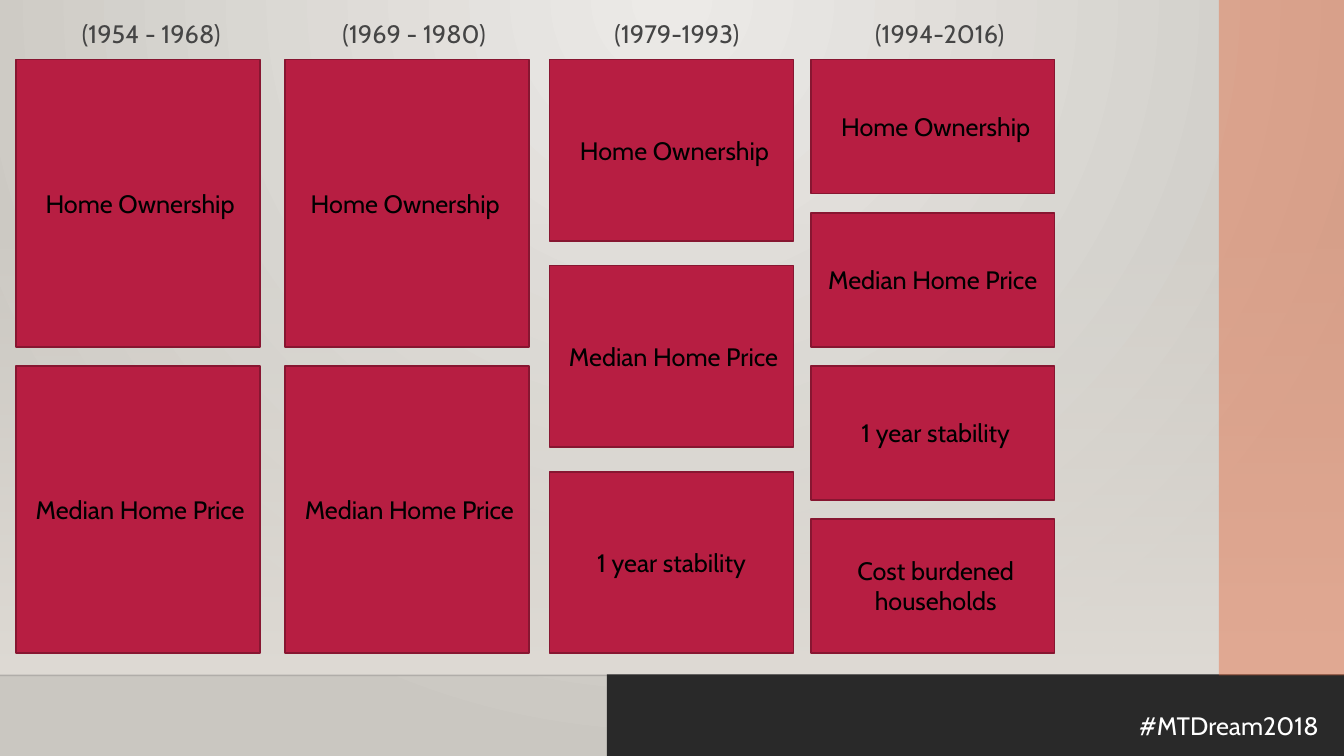
from lxml import etree
from pptx import Presentation, util as u
from pptx.dml.color import RGBColor
from pptx.enum import shapes, text
from pptx.oxml.ns import nsdecls, qn
from pptx.oxml import parse_xml

THEME = {
    "font": "Cabin", "size": u.Pt(18),
    "wall_light": "ECEAE7", "wall_dark": "CAC7C1", "floor": "DFDBD5",
    "horizon": "000001", "band": "292929", "accent": "E6663A",
    "box": "B71E42", "box_line": "871631",
    "heading": "454545", "label": "000000", "hashtag": "FFFFFF",
}
WIDTH, HEIGHT = 13.33, 7.5
HORIZON = 6.7
GRID_TOP, GRID_BOTTOM = 0.59, 6.48
BOX_WIDTH = 2.42
HEADING_LEFT, HEADING_STEP, HEADING_WIDTH = 0.42, 2.607, 2.16
LINE_HEIGHT, EXTRA_LINE = 0.4, 0.31

# Each era: heading, left edge, box height, then (label, sideways nudge, lines)
ERAS = [
    ("(1954 - 1968)", 0.16, 2.85,
     [("Home Ownership", 0.02, 1), ("Median Home Price", 0.02, 1)]),
    ("(1969 - 1980)", 2.83, 2.85,
     [("Home Ownership", -0.02, 1), ("Median Home Price", 0.02, 1)]),
    ("(1979-1993)", 5.45, 1.8,
     [("Home Ownership", 0.03, 1), ("Median Home Price", 0.02, 1),
      ("1 year stability", 0, 1)]),
    ("(1994-2016)", 8.04, 1.33,
     [("Home Ownership", 0.03, 1), ("Median Home Price", 0, 1),
      ("1 year stability", 0.03, 1), ("Cost burdened households", 0.03, 2)]),
]

presentation = Presentation()
presentation.slide_width, presentation.slide_height = u.Inches(WIDTH), u.Inches(HEIGHT)
slide = presentation.slides.add_slide(presentation.slide_layouts[6])


def add_rectangle(left, top, width, height, color):
    shape = slide.shapes.add_shape(
        shapes.MSO_SHAPE.RECTANGLE, *map(u.Inches, (left, top, width, height)))
    shape.shadow.inherit = False
    shape.fill.solid()
    shape.fill.fore_color.rgb = RGBColor.from_string(THEME[color])
    shape.line.fill.background()
    return shape


def add_text(words, left, top, width, height, color, align):
    box = slide.shapes.add_textbox(*map(u.Inches, (left, top, width, height)))
    frame = box.text_frame
    frame.word_wrap = True
    frame.auto_size = text.MSO_AUTO_SIZE.SHAPE_TO_FIT_TEXT
    frame.text = words
    paragraph = frame.paragraphs[0]
    paragraph.alignment = align
    font = paragraph.runs[0].font
    font.name, font.size = THEME["font"], THEME["size"]
    font.color.rgb = RGBColor.from_string(THEME[color])


# Background: light glow at the top
slide.background.fill.solid()
solid = slide.element.find(".//" + qn("a:solidFill"))
solid.getparent().replace(solid, parse_xml(
    f'<a:gradFill {nsdecls("a")} rotWithShape="1"><a:gsLst>'
    f'<a:gs pos="0"><a:srgbClr val="{THEME["wall_light"]}"/></a:gs>'
    f'<a:gs pos="100000"><a:srgbClr val="{THEME["wall_dark"]}"/></a:gs>'
    '</a:gsLst><a:path path="circle">'
    '<a:fillToRect l="43000" t="0" r="43000" b="100000"/></a:path></a:gradFill>'))

# Haze that fades in down to the horizon
haze = add_rectangle(0, 2.21, WIDTH, HORIZON - 2.21, "floor")
haze.fill.gradient()
haze.fill.gradient_angle = 270
for stop, position, alpha in zip(haze.fill.gradient_stops, (0, 1), ("0", "100000")):
    stop.position = position
    stop.color.rgb = RGBColor.from_string(THEME["floor"])
    color_element = haze._element.spPr.findall(".//" + qn("a:srgbClr"))[position]
    etree.SubElement(color_element, qn("a:alpha"), val=alpha)

horizon = slide.shapes.add_connector(
    shapes.MSO_CONNECTOR.STRAIGHT, 0, u.Inches(HORIZON), u.Inches(WIDTH), u.Inches(HORIZON))
horizon.line.width = u.Pt(1)
horizon.line.color.rgb = RGBColor.from_string(THEME["horizon"])
etree.SubElement(horizon._element.spPr.find(".//" + qn("a:srgbClr")), qn("a:alpha"), val="20000")
etree.SubElement(horizon._element.spPr, qn("a:effectLst"))

add_rectangle(6.02, 6.69, WIDTH - 6.02, HEIGHT - 6.69, "band")
side = add_rectangle(12.09, 0, WIDTH - 12.09, HORIZON, "accent")
etree.SubElement(side._element.spPr.find(".//" + qn("a:srgbClr")), qn("a:alpha"), val="42000")
add_text("#MTDream2018", 11.2, 7, WIDTH - 11.2, LINE_HEIGHT, "hashtag", text.PP_ALIGN.LEFT)

# One column per era, its boxes spread evenly over the grid's height
for column, (heading, left, box_height, labels) in enumerate(ERAS):
    add_text(heading, HEADING_LEFT + column * HEADING_STEP, 0.13, HEADING_WIDTH,
             LINE_HEIGHT, "heading", text.PP_ALIGN.CENTER)
    row_step = (GRID_BOTTOM - GRID_TOP - box_height) / (len(labels) - 1)
    for row, (label, nudge, lines) in enumerate(labels):
        top = GRID_TOP + row * row_step
        box = add_rectangle(left, top, BOX_WIDTH, box_height, "box")
        box.line.color.rgb = RGBColor.from_string(THEME["box_line"])
        box.line.width = u.Pt(1.25)
        label_height = LINE_HEIGHT + (lines - 1) * EXTRA_LINE
        add_text(label, left + nudge, top + (box_height - label_height) / 2,
                 BOX_WIDTH, label_height, "label", text.PP_ALIGN.CENTER)

presentation.save("out.pptx")
